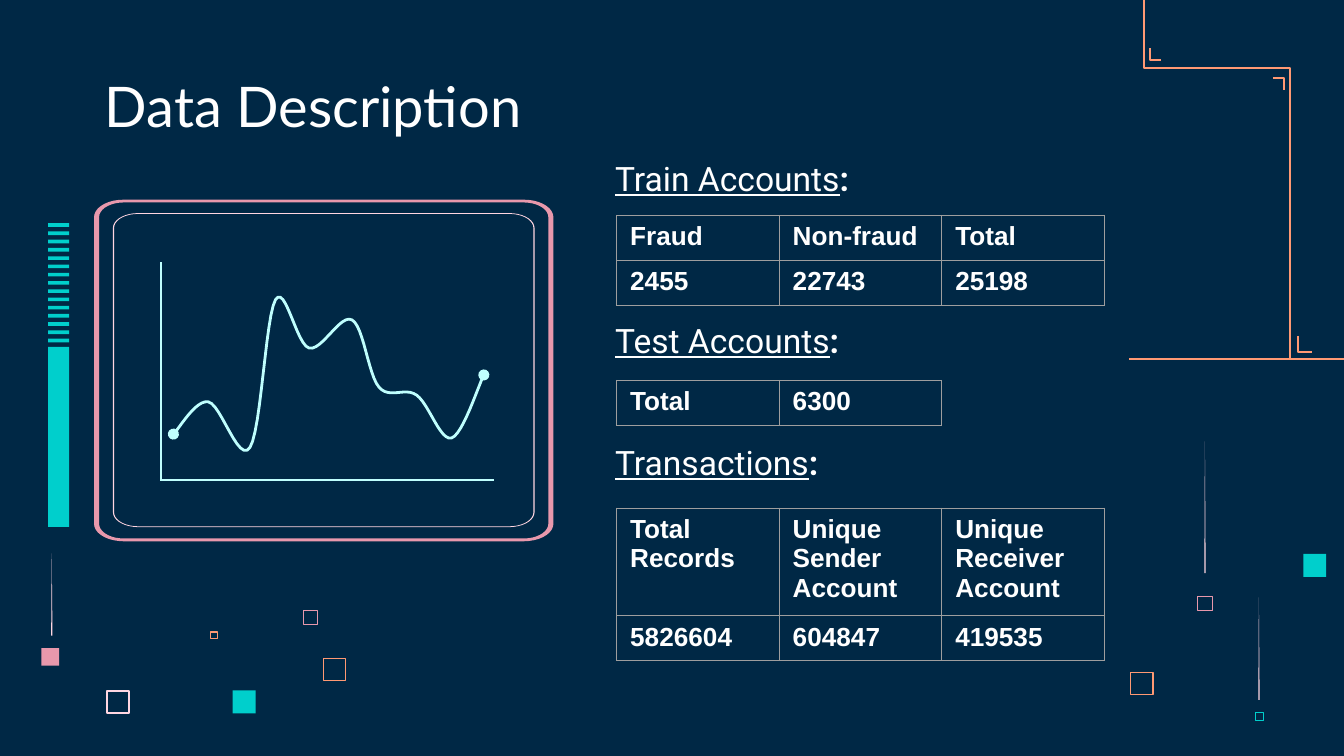
import math
from typing import NamedTuple

import pptx
import pptx.dml.color
import pptx.enum.shapes
import pptx.enum.text
import pptx.oxml
import pptx.oxml.ns
import pptx.util
from lxml import etree

Pt = pptx.util.Pt
COLORS = {
    "navy": "002845", "white": "FFFFFF", "teal": "00CFCC", "pink": "E898AC",
    "blush": "FFD6E1", "orange": "FF9973", "ice": "BFFFFE", "grey": "9E9E9E",
}
Point = tuple[float, float]


class Square(NamedTuple):
    left: float
    top: float
    size: float
    color: str
    line: float = 0  # 0 means a solid square


class Ring(NamedTuple):
    left: float
    top: float
    right: float
    bottom: float
    radius_x: float
    radius_y: float
    inset_x: float
    inset_y: float
    color: str


class DataTable(NamedTuple):
    top: float
    row_heights: list[float]
    rows: list[list[str]]


class Heading(NamedTuple):
    text: str
    space_before: float


SQUARES = [
    Square(57.3, 370, 12, "blush", 1),
    Square(162.6, 327.2, 7.6, "pink", 0.6),
    Square(113, 338.6, 3.6, "orange", 0.6),
    Square(173.2, 352.7, 12, "orange", 0.8),
    Square(124.7, 369.9, 12.3, "teal"),
    Square(641.5, 319.3, 7.9, "pink", 0.25),
    Square(22.2, 347.2, 9.5, "pink"),
    Square(672.2, 381.6, 4.5, "teal", 0.25),
    Square(605.7, 360.2, 12, "orange", 0.8),
    Square(698.2, 296.8, 12.3, "teal"),
]
# Tapering streaks: x, top, bottom
STREAKS = [(645.2, 236.5, 307), (27.4, 296.5, 340.5), (674.1, 320, 375)]
CIRCUIT = [
    [(613, 0), (613, 36.4), (691.2, 36.4), (691.2, 192.3)],
    [(695.6, 180), (695.6, 188.4), (703, 188.4)],
    [(682, 41.8), (688, 41.8), (688, 48)],
    [(616.2, 26), (616.2, 32), (622, 32)],
]
RINGS = [
    Ring(50.4, 107, 296.5, 290, 15.8, 9.4, 2.7, 1.5, "pink"),
    Ring(60.5, 114.2, 286.4, 282.4, 13.5, 8, 0.6, 0.4, "blush"),
]
TREND = [
    (92.9, 232.6), (111.6, 215.3), (133.9, 239.8), (147.6, 160.6), (165.6, 186.5),
    (188.6, 171.4), (203, 207.4), (223.2, 211.7), (241.9, 234.7), (259.2, 200.9),
]
HEADINGS = [Heading("Train Accounts", 0), Heading("Test Accounts", 65.2),
            Heading("Transactions", 43.7)]
TABLES = [
    DataTable(115.4, [23, 23], [["Fraud", "Non-fraud", "Total"], ["2455", "22743", "25198"]]),
    DataTable(203.8, [23], [["Total", "6300"]]),
    DataTable(272.2, [54.3, 23], [
        ["Total Records", "Unique Sender Account", "Unique Receiver Account"],
        ["5826604", "604847", "419535"]]),
]


def rgb(name: str):
    return pptx.dml.color.RGBColor.from_string(COLORS[name])


def paint(shape, fill: str = "", line: str = "", width: float = 0) -> None:
    shape.shadow.inherit = False
    if fill:
        shape.fill.solid()
        shape.fill.fore_color.rgb = rgb(fill)
    else:
        shape.fill.background()
    if line:
        shape.line.color.rgb = rgb(line)
        shape.line.width = Pt(width)
    else:
        shape.line.fill.background()


def style_font(font, name: str, size: float) -> None:
    font.name, font.size = name, Pt(size)
    font.color.rgb = rgb("white")


def add_rectangle(slide, left: float, top: float, width: float, height: float):
    return slide.shapes.add_shape(pptx.enum.shapes.MSO_SHAPE.RECTANGLE,
                                  Pt(left), Pt(top), Pt(width), Pt(height))


def add_outline(slide, contours: list[list[Point]], close: bool = True):
    scaled = [[(Pt(x), Pt(y)) for x, y in contour] for contour in contours]
    builder = slide.shapes.build_freeform(*scaled[0][0], scale=1.0)
    for index, contour in enumerate(scaled):
        if index:
            builder.move_to(*contour[0])
        builder.add_line_segments(contour[1:], close=close)
    return builder.convert_to_shape()


def add_line(slide, start: Point, end: Point, color: str, width: float) -> None:
    connector = slide.shapes.add_connector(
        pptx.enum.shapes.MSO_CONNECTOR.STRAIGHT, *(Pt(value) for value in start + end))
    connector.line.color.rgb = rgb(color)
    connector.line.width = Pt(width)
    etree.SubElement(connector._element.spPr, pptx.oxml.ns.qn("a:effectLst"))


def rounded_contour(left: float, top: float, right: float, bottom: float,
                    radius_x: float, radius_y: float) -> list[Point]:
    corners = [(right - radius_x, bottom - radius_y), (left + radius_x, bottom - radius_y),
               (left + radius_x, top + radius_y), (right - radius_x, top + radius_y)]
    return [(x + radius_x * math.cos(math.radians(angle)),
             y + radius_y * math.sin(math.radians(angle)))
            for quarter, (x, y) in enumerate(corners)
            for angle in range(90 * quarter, 90 * quarter + 91, 10)]


def add_ring(slide, ring: Ring) -> None:
    dx, dy = ring.inset_x, ring.inset_y
    outer = rounded_contour(*ring[:6])
    inner = rounded_contour(ring.left + dx, ring.top + dy, ring.right - dx, ring.bottom - dy,
                            ring.radius_x - dx, ring.radius_y - dy)
    paint(add_outline(slide, [outer, inner[::-1]]), ring.color)


def smooth_curve(knots: list[Point], steps: int = 12) -> list[Point]:
    """Sample a Catmull-Rom spline through the knots."""
    padded = [knots[0], *knots, knots[-1]]
    points = [knots[0]]
    for before, start, end, after in zip(padded, padded[1:], padded[2:], padded[3:]):
        for step in range(1, steps + 1):
            t = step / steps
            points.append(tuple(
                (2 * b + (c - a) * t + (2 * a - 5 * b + 4 * c - d) * t ** 2
                 + (3 * b - a - 3 * c + d) * t ** 3) / 2
                for a, b, c, d in zip(before, start, end, after)))
    return points


def add_data_table(slide, data: DataTable, left: float = 330.4, column: float = 87.1) -> None:
    count = len(data.rows[0])
    table = slide.shapes.add_table(len(data.rows), count, Pt(left), Pt(data.top),
                                   Pt(column * count), Pt(sum(data.row_heights))).table
    table.first_row = table.horz_banding = False
    for index in range(count):
        table.columns[index].width = Pt(column)
    for row_index, row in enumerate(data.rows):
        table.rows[row_index].height = Pt(data.row_heights[row_index])
        for column_index, text in enumerate(row):
            cell = table.cell(row_index, column_index)
            cell.text = text
            font = cell.text_frame.paragraphs[0].runs[0].font
            style_font(font, "Arial", 14)
            font.bold = True
            properties = cell._tc.get_or_add_tcPr()
            for side in ("lnL", "lnR", "lnT", "lnB"):
                properties.append(pptx.oxml.parse_xml(
                    f'<a:{side} {pptx.oxml.ns.nsdecls("a")} w="{Pt(0.75)}"><a:solidFill>'
                    f'<a:srgbClr val="{COLORS["grey"]}"/></a:solidFill></a:{side}>'))
            cell.fill.background()


def main() -> None:
    presentation = pptx.Presentation()
    presentation.slide_width, presentation.slide_height = Pt(720), Pt(405)
    slide = presentation.slides.add_slide(presentation.slide_layouts[5])
    slide.background.fill.solid()
    slide.background.fill.fore_color.rgb = rgb("navy")

    # Title
    title = slide.shapes.title
    title.left, title.top, title.width, title.height = Pt(49), Pt(32.4), Pt(258), Pt(45.4)
    title.text_frame.text = "Data Description"
    title.text_frame.vertical_anchor = pptx.enum.text.MSO_ANCHOR.BOTTOM
    paragraph = title.text_frame.paragraphs[0]
    paragraph.alignment = pptx.enum.text.PP_ALIGN.LEFT
    style_font(paragraph.runs[0].font, "Lato", 30)

    # Scattered squares and streaks
    for square in SQUARES:
        shape = add_rectangle(slide, square.left, square.top, square.size, square.size)
        if square.line:
            paint(shape, line=square.color, width=square.line)
        else:
            paint(shape, square.color)
    for x, top, bottom in STREAKS:
        paint(add_outline(slide, [[(x + 0.3, top), (x, bottom), (x + 0.7, bottom)]]), "blush")

    # Circuit lines
    add_line(slide, (605, 192.3), (720, 192.3), "orange", 1.1)
    for points in CIRCUIT:
        paint(add_outline(slide, [points], close=False), line="orange", width=1.1)

    # Level meter
    for index in range(15):
        paint(add_rectangle(slide, 25.8, 119.6 + 4.42 * index, 11.3, 2), "teal")
    paint(add_rectangle(slide, 25.8, 185.9, 11.3, 96.5), "teal")

    # Screen with trend line
    for ring in RINGS:
        add_ring(slide, ring)
    trend = add_outline(slide, [smooth_curve(TREND)], close=False)
    paint(trend, line="ice", width=1.5)
    for end in ("a:headEnd", "a:tailEnd"):
        etree.SubElement(trend.line._get_or_add_ln(), pptx.oxml.ns.qn(end), type="oval")
    add_line(slide, (86.3, 140.4), (86.3, 257.5), "ice", 0.75)
    add_line(slide, (86.3, 257.1), (264.5, 257.1), "ice", 0.75)

    # Headings
    text_frame = slide.shapes.add_textbox(Pt(322.5), Pt(77.4), Pt(324), Pt(190)).text_frame
    text_frame.word_wrap = True
    text_frame.margin_top = Pt(7.2)
    for index, heading in enumerate(HEADINGS):
        paragraph = text_frame.add_paragraph() if index else text_frame.paragraphs[0]
        paragraph.space_before = Pt(heading.space_before)
        for text in (heading.text, ":"):
            run = paragraph.add_run()
            run.text = text
            style_font(run.font, "Roboto", 18)
            run.font.underline = text != ":"
            run.font.bold = text == ":"

    # Tables
    for data in TABLES:
        add_data_table(slide, data)

    presentation.save("out.pptx")


if __name__ == "__main__":
    main()
